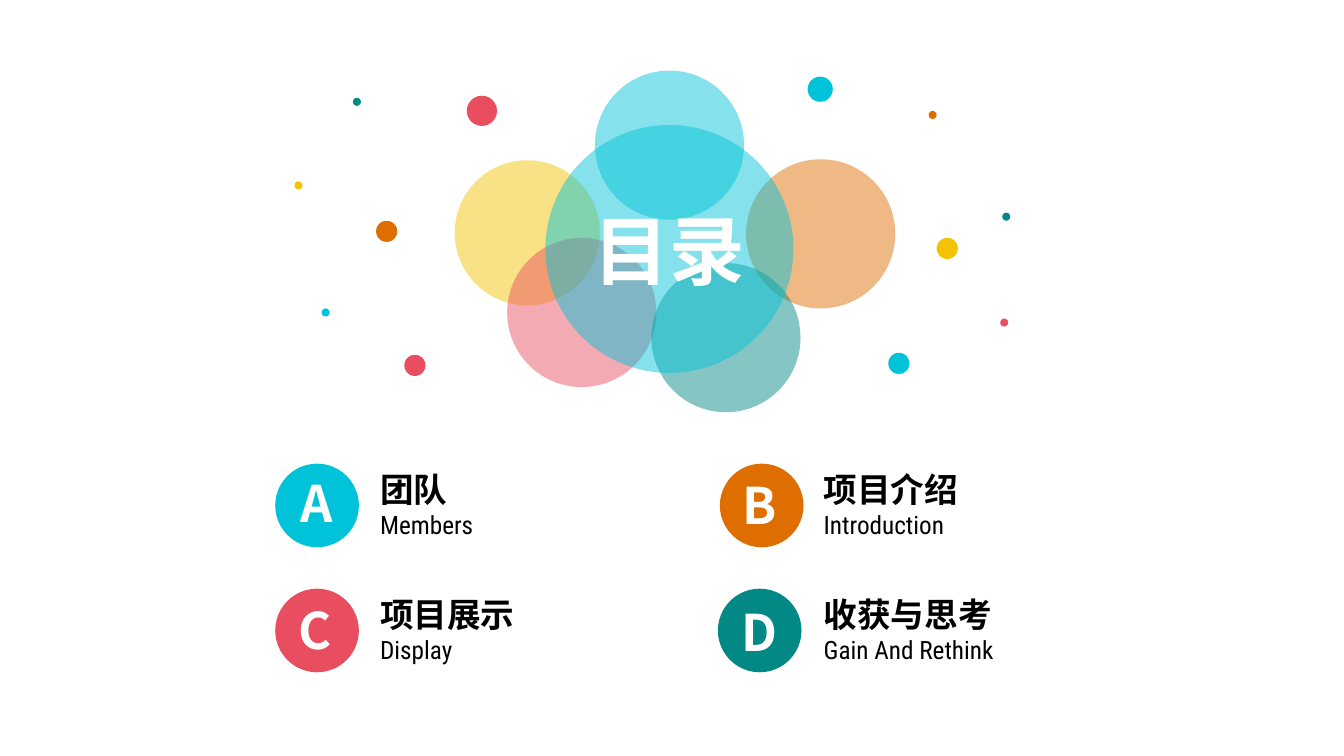
"""Build the contents slide: overlapping circles, scattered dots and four lettered entries."""
from lxml import etree
from pptx import Presentation
from pptx.dml.color import RGBColor
from pptx.enum import shapes, text
from pptx.oxml import ns
from pptx.util import Inches, Pt

HUES = {"cyan": "00C3D9", "orange": "DE6E00", "red": "E94E60", "teal": "028985",
        "gold": "F3C301", "white": "FFFFFF", "black": "000000"}
SANS = "Noto Sans CJK SC"


def write(para, words, size, hue="black", font=SANS, bold=True, align=None):
    """Add one formatted run to a paragraph."""
    para.alignment = align
    run = para.add_run()
    run.text = words
    run.font.size = Pt(size)
    run.font.bold = bold
    run.font.color.rgb = RGBColor.from_string(HUES[hue])
    run.font.name = font
    etree.SubElement(run.font._element, ns.qn("a:ea"), typeface=font)


def disc(left, top, wide, hue, alpha=None):
    """Draw a circle without outline, see-through if alpha is given."""
    dot = slide.shapes.add_shape(shapes.MSO_SHAPE.OVAL, Inches(left), Inches(top),
                                 Inches(wide), Inches(wide))
    dot.shadow.inherit = False
    dot.line.fill.background()
    dot.fill.solid()
    dot.fill.fore_color.rgb = RGBColor.from_string(HUES[hue])
    if alpha:
        tint = dot.element.spPr.find(".//" + ns.qn("a:srgbClr"))
        etree.SubElement(tint, ns.qn("a:alpha"), val=str(alpha * 1000))


deck = Presentation()
deck.slide_width, deck.slide_height = Inches(13.33), Inches(7.5)
slide = deck.slides.add_slide(deck.slide_layouts[5])
center = text.PP_ALIGN.CENTER

entries = [
    ("A", "团队", "Members", "cyan", 2.73, 4.6, 2.49, 4.63),
    ("B", "项目介绍", "Introduction", "orange", 7.14, 4.6, 6.88, 4.65),
    ("C", "项目展示", "Display", "red", 2.73, 5.84, 2.47, 5.89),
    ("D", "收获与思考", "Gain And Rethink", "teal", 7.12, 5.84, 6.88, 5.91),
]
for i, (mark, name, gloss, hue, left, top, x, y) in enumerate(entries):
    disc(left, top, 0.83, hue)
    badge = slide.shapes.add_textbox(Inches(x), Inches(y), Inches(1.31), Inches(0.71))
    badge.text_frame.word_wrap = True
    write(badge.text_frame.paragraphs[0], mark, 36, "white", align=center)

    label = slide.shapes.add_textbox(Inches(3.77 + i % 2 * 4.4), Inches(top),
                                     Inches(4.34), Inches(0.81))
    frame = label.text_frame
    frame.word_wrap = True
    frame.margin_left = 0
    write(frame.paragraphs[0], name, 24)
    write(frame.add_paragraph(), gloss, 18, font="Roboto Condensed", bold=False)

dots = [
    (8.01, 0.76, 0.25, "cyan"), (4.63, 0.95, 0.3, "red"),
    (3.73, 2.19, 0.21, "orange"), (3.5, 0.97, 0.08, "teal"),
    (2.92, 1.8, 0.08, "gold"), (4.01, 3.52, 0.21, "red"),
    (3.19, 3.06, 0.08, "cyan"), (9.29, 2.36, 0.21, "gold"),
    (9.21, 1.1, 0.08, "orange"), (9.94, 2.11, 0.08, "teal"),
    (8.81, 3.5, 0.21, "cyan"), (9.92, 3.16, 0.08, "red"),
]
for dot in dots:
    disc(*dot)

petals = [
    (4.51, 1.59, 1.44, "gold"), (5.03, 2.36, 1.48, "red"),
    (5.9, 0.7, 1.48, "cyan"), (7.4, 1.58, 1.48, "orange"),
    (6.46, 2.61, 1.48, "teal"), (5.41, 1.24, 2.46, "cyan"),
]
for petal in petals:
    disc(*petal, alpha=48)

title = slide.shapes.title
title.left, title.top = Inches(5.41), Inches(1.24)
title.width = title.height = Inches(2.46)
frame = title.text_frame
frame.auto_size = text.MSO_AUTO_SIZE.NONE
frame.vertical_anchor = text.MSO_ANCHOR.MIDDLE
write(frame.paragraphs[0], "目录", 54, "white", align=center)
title.element.getparent().append(title.element)

deck.save("out.pptx")
